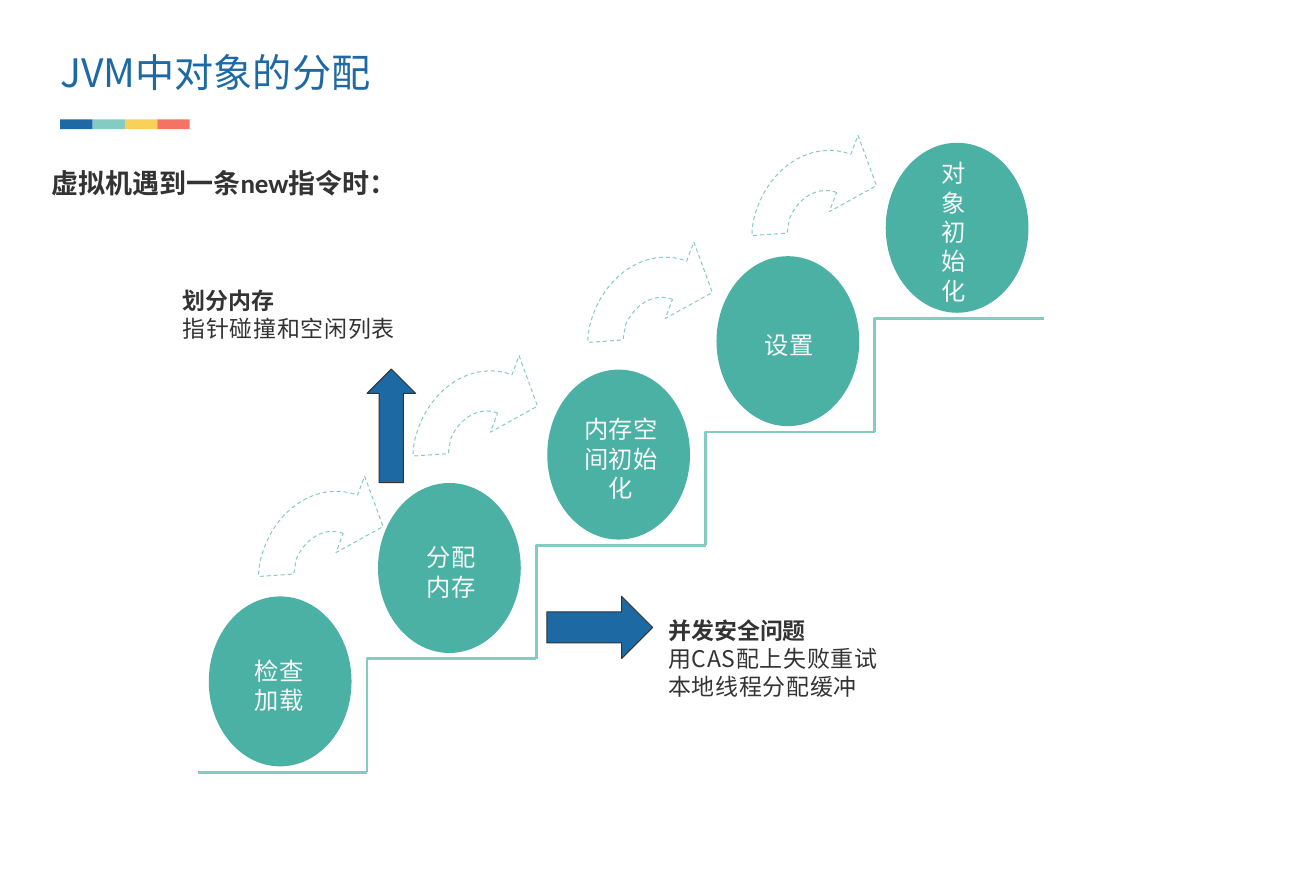
from dataclasses import dataclass

from lxml.etree import SubElement
from pptx import Presentation
from pptx.dml.color import RGBColor
from pptx.enum.dml import MSO_LINE
from pptx.enum.shapes import MSO_CONNECTOR, MSO_SHAPE as Shp
from pptx.enum.text import MSO_ANCHOR as Anchor, MSO_AUTO_SIZE, PP_ALIGN as Align
from pptx.oxml.ns import qn
from pptx.util import Inches, Pt

BLUE, MINT, YELLOW, CORAL = "1D69A3", "84CBC3", "F8D158", "F57365"
TEAL, INK, PALE = "4BB1A5", "333333", "F8F8F8"
CJK, LATIN = "Noto Sans CJK SC", "Calibri"
RUN, RISE = 6.97 / 4, 4.67 / 4
STAIR_X, STAIR_Y = 3.78, 7.95
BALL_X, BALL_Y, BALL_W, BALL_H = 2.15, 6.14, 1.47, 1.75


@dataclass
class Stage:
    text: str
    label_x: float
    label_w: float = 0.75


@dataclass
class Callout:
    box: tuple[float, float, float, float]
    text: str


@dataclass
class BlockArrow:
    kind: Shp
    box: tuple[float, float, float, float]


STAGES = [
    Stage("检查\n加载", 2.5),
    Stage("分配内存", 4.27),
    Stage("内存空间初始化", 5.86, 1.07),
    Stage("设置", 7.75),
    Stage("对象初始化", 9.47, 0.7),
]
CALLOUTS = [
    Callout((1.77, 2.9, 2.51, 0.68), "划分内存\n指针碰撞和空闲列表"),
    Callout((6.77, 6.3, 4.16, 0.97), "并发安全问题\n用CAS配上失败重试\n本地线程分配缓冲"),
]
BLOCK_ARROWS = [
    BlockArrow(Shp.UP_ARROW, (3.78, 3.8, 0.5, 1.17)),
    BlockArrow(Shp.RIGHT_ARROW, (5.63, 6.14, 1.09, 0.64)),
]
CURVED_ARROWS = [(2.54, 5.18), (4.13, 3.94), (5.93, 2.77), (7.62, 1.67)]
CURVED_W, CURVED_H, CURVED_TURN = 1.69, 1.42, 290.5
# Outline before turning, in hundredths of an inch; the head reaches beyond the box
CURVED_OUTLINE = [
    ("moveTo", [(127, 71)]),
    ("cubicBezTo", [(127, 51), (109, 36), (85, 35)]),
    ("cubicBezTo", [(80, 36), (75, 37), (70, 38)]),
    ("lnTo", [(55, 5)]),
    ("cubicBezTo", [(65, 1), (75, 0), (85, 0)]),
    ("cubicBezTo", [(132, 0), (169, 31), (169, 71)]),
    ("lnTo", [(190, 71)]),
    ("lnTo", [(148, 107)]),
    ("lnTo", [(106, 71)]),
    ("lnTo", [(127, 71)]),
    ("close", []),
]


def rgb(color: str) -> RGBColor:
    return RGBColor.from_string(color)


def add_solid(s, kind: Shp, box: tuple, fill: str, line: str = ""):
    sp = s.shapes.add_shape(kind, *map(Inches, box))
    sp.shadow.inherit = False
    sp.fill.solid()
    sp.fill.fore_color.rgb = rgb(fill)
    if line:
        sp.line.color.rgb = rgb(line)
        sp.line.width = Pt(0.75)
    else:
        sp.line.fill.background()
    return sp


def add_outline(s, points: list, width: float):
    points = [(Inches(x), Inches(y)) for x, y in points]
    builder = s.shapes.build_freeform(*points[0])
    builder.add_line_segments(points[1:], close=False)
    sp = builder.convert_to_shape()
    sp.shadow.inherit = False
    sp.fill.background()
    sp.line.color.rgb = rgb(MINT)
    sp.line.width = Pt(width)
    return sp


def write(sp, text: str, size: float, font: str, color: str, bold: bool = False,
          align: Align = Align.LEFT, anchor: Anchor = Anchor.TOP,
          inset: tuple = (0.11, 0.05)) -> None:
    tf = sp.text_frame
    tf.text = text
    tf.word_wrap = True
    tf.auto_size = MSO_AUTO_SIZE.NONE
    tf.vertical_anchor = anchor
    tf.margin_left = tf.margin_right = Inches(inset[0])
    tf.margin_top = tf.margin_bottom = Inches(inset[1])
    for p in tf.paragraphs:
        p.alignment = align
        p.line_spacing = Pt(round(size * 1.21, 1))
        for r in p.runs:
            r.font.name, r.font.size, r.font.bold = font, Pt(size), bold
            r.font.color.rgb = rgb(color)
            SubElement(r.font._element, qn("a:ea")).set("typeface", CJK)


def add_text(s, box: tuple, *args, **kwargs):
    sp = s.shapes.add_textbox(*map(Inches, box))
    write(sp, *args, **kwargs)
    return sp


def add_heading(s) -> None:
    title = s.shapes.title
    title.left, title.top, title.width, title.height = map(Inches, (0.62, 0.49, 4.12, 0.49))
    write(title, "JVM中对象的分配", 29, CJK, BLUE, anchor=Anchor.MIDDLE, inset=(0, 0))
    for i, color in enumerate((BLUE, MINT, YELLOW, CORAL)):
        add_solid(s, Shp.RECTANGLE, (0.62 + i / 3, 1.23, 1 / 3, 0.1), color)
    add_text(s, (0.43, 1.66, 4.17, 0.44), "虚拟机遇到一条new指令时：", 20, LATIN, INK,
             bold=True, inset=(0.1, 0.05))


def add_stairs(s) -> None:
    for i in range(4):
        x, y = STAIR_X + i * RUN, STAIR_Y - i * RISE
        add_outline(s, [(x, y), (x, y - RISE), (x + RUN, y - RISE)], 2)
    base = s.shapes.add_connector(MSO_CONNECTOR.STRAIGHT, *map(
        Inches, (STAIR_X, STAIR_Y, STAIR_X - RUN, STAIR_Y)))
    base.line.color.rgb = rgb(MINT)
    base.line.width = Pt(2)
    SubElement(base._element.spPr, qn("a:effectLst"))


def add_curved_arrow(s, x: float, y: float) -> None:
    """Draw a box-sized freeform and give it the curved outline."""
    sp = add_outline(s, [(x, y), (x + CURVED_W, y + CURVED_H)], 0.75)
    sp.line.dash_style = MSO_LINE.DASH
    sp.rotation = CURVED_TURN
    outline = next(sp._element.iter(qn("a:path")))
    for step in list(outline):
        outline.remove(step)
    outline.set("w", str(round(CURVED_W * 100)))
    outline.set("h", str(round(CURVED_H * 100)))
    for command, points in CURVED_OUTLINE:
        step = SubElement(outline, qn(f"a:{command}"))
        for px, py in points:
            SubElement(step, qn("a:pt"), x=str(px), y=str(py))


def add_stages(s) -> None:
    for i, stage in enumerate(STAGES):
        x, y = BALL_X + i * RUN, BALL_Y - i * RISE
        add_solid(s, Shp.OVAL, (x, y, BALL_W, BALL_H), TEAL)
        add_text(s, (stage.label_x, y + 0.5, stage.label_w, 0.83), stage.text, 18, LATIN, PALE,
                 align=Align.CENTER, anchor=Anchor.MIDDLE)


def add_callouts(s) -> None:
    for arrow in BLOCK_ARROWS:
        add_solid(s, arrow.kind, arrow.box, BLUE, INK)
    for callout in CALLOUTS:
        sp = add_text(s, callout.box, callout.text, 17, CJK, INK)
        head, *details = sp.text_frame.paragraphs
        head.runs[0].font.bold = True
        for p in details:
            p.runs[0].font._element.set("spc", "50")


def main() -> None:
    prs = Presentation()
    prs.slide_width, prs.slide_height = Inches(13.55), Inches(9.06)
    s = prs.slides.add_slide(prs.slide_layouts[5])
    add_heading(s)
    add_stairs(s)
    for x, y in CURVED_ARROWS:
        add_curved_arrow(s, x, y)
    add_stages(s)
    add_callouts(s)
    prs.save("out.pptx")


if __name__ == "__main__":
    main()
